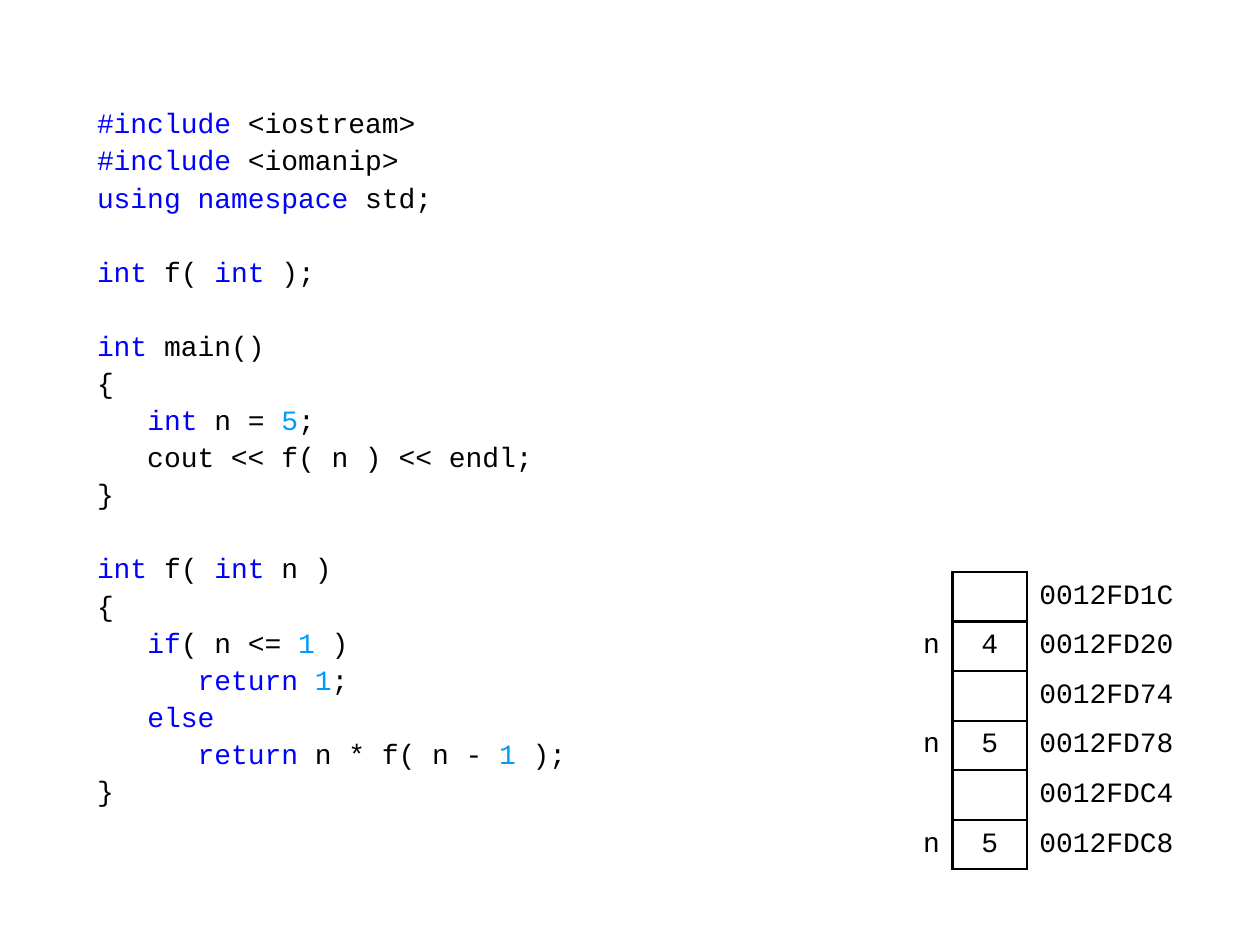
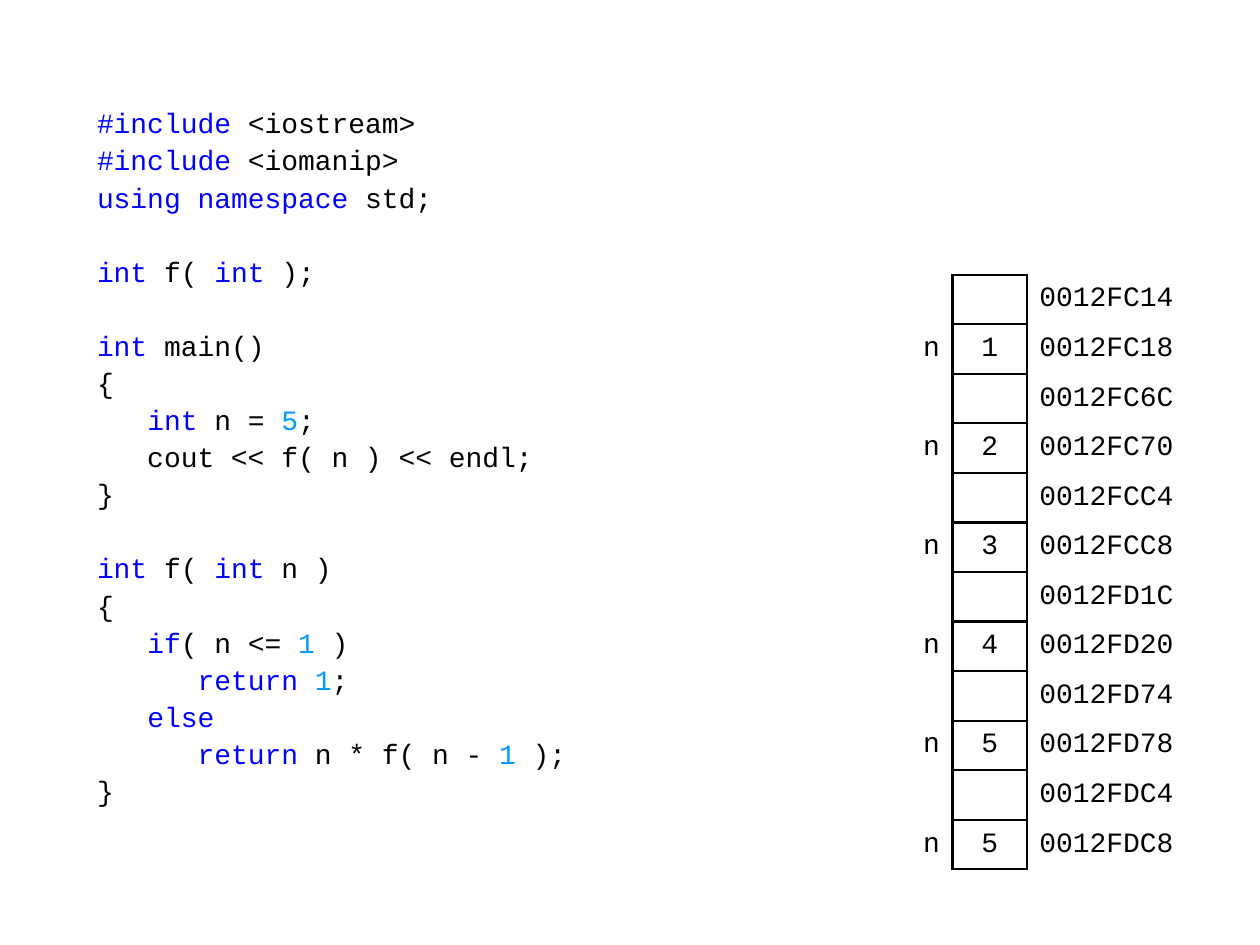
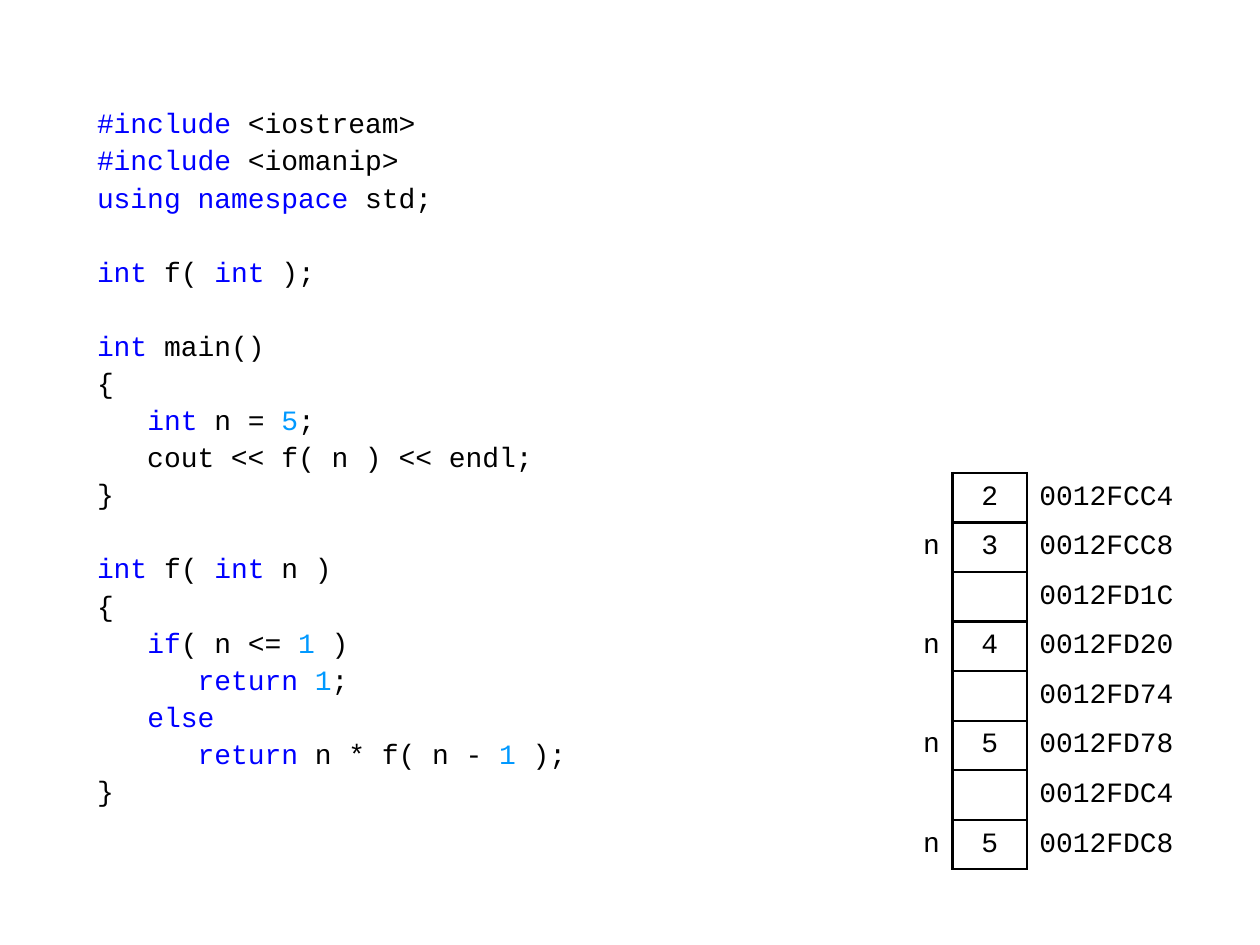
from itertools import groupby

from lxml.etree import SubElement
from pptx import Presentation
from pptx.dml.color import RGBColor
from pptx.enum.text import MSO_ANCHOR, MSO_AUTO_SIZE, PP_ALIGN
from pptx.oxml.ns import qn
from pptx.util import Inches, Pt

BLACK = RGBColor(0x00, 0x00, 0x00)
KEYWORD_BLUE = RGBColor(0x00, 0x00, 0xFF)
NUMBER_BLUE = RGBColor(0x00, 0x99, 0xFF)

CODE_FONT = "Courier New"
CODE_SIZE = Pt(16)
LINE_GAP = Pt(2)
BLANK_LINE = Pt(21.2)
BORDER_WIDTH = Pt(1.5)
PLAIN_TABLE_STYLE = "{2D5ABB26-0587-4C30-8999-92F81FD0307C}"

KEYWORDS = {"#include", "using", "namespace", "int", "if", "return", "else"}
PROGRAM = """#include <iostream>
#include <iomanip>
using namespace std;

int f( int );

int main()
{
   int n = 5;
   cout << f( n ) << endl;
}

int f( int n )
{
   if( n <= 1 )
      return 1;
   else
      return n * f( n - 1 );
}"""

COLUMN_WIDTHS = (0.39, 0.59, 1.38)
ADDRESSES = (
    "0012FC14", "0012FC18", "0012FC6C", "0012FC70", "0012FCC4", "0012FCC8",
    "0012FD1C", "0012FD20", "0012FD74", "0012FD78", "0012FDC4", "0012FDC8",
)
STACK_STATES = (
    ("", "4", "", "5", "", "5"),
    ("", "1", "", "2", "", "3", "", "4", "", "5", "", "5"),
    ("2", "3", "", "4", "", "5", "", "5"),
)


def add_code_run(paragraph, text, color=BLACK):
    """Append one run in the code font."""
    run = paragraph.add_run()
    run.text = text
    run.font.name = CODE_FONT
    run.font.size = CODE_SIZE
    run.font.color.rgb = color


def token_color(token):
    """Choose the syntax colour of a token."""
    if token in KEYWORDS:
        return KEYWORD_BLUE
    return NUMBER_BLUE if token.isdigit() else BLACK


def add_program(slide):
    """Write the highlighted program into the subtitle placeholder."""
    listing = slide.placeholders[1]
    listing.left, listing.top = Inches(0.67), Inches(0.79)
    listing.width, listing.height = Inches(5.12), Inches(5.71)
    frame = listing.text_frame
    frame.auto_size = MSO_AUTO_SIZE.NONE
    frame.word_wrap = True
    frame.vertical_anchor = MSO_ANCHOR.TOP

    paragraph = frame.paragraphs[0]
    gap = Pt(0)
    for number, line in enumerate(PROGRAM.splitlines()):
        if not line:
            gap += BLANK_LINE
            continue
        if number:
            paragraph = frame.add_paragraph()
        paragraph.alignment = PP_ALIGN.LEFT
        paragraph.space_before = gap
        for _, letters in groupby(line, lambda c: c.isalnum() or c == "#"):
            token = "".join(letters)
            add_code_run(paragraph, token, token_color(token))
        gap = LINE_GAP


def add_borders(cell, sides):
    """Draw black borders on the given sides, in the order L, R, T, B."""
    properties = cell._tc.get_or_add_tcPr()
    for side in sides:
        border = SubElement(properties, qn(f"a:ln{side}"), w=str(BORDER_WIDTH))
        fill = SubElement(border, qn("a:solidFill"))
        SubElement(fill, qn("a:srgbClr"), val=str(BLACK))


def fill_cell(cell, text, alignment, sides, right_margin=0.1):
    """Write and outline one cell of a stack row."""
    cell.margin_right = Inches(right_margin)
    cell.vertical_anchor = MSO_ANCHOR.MIDDLE
    add_borders(cell, sides)
    if text:
        paragraph = cell.text_frame.paragraphs[0]
        paragraph.alignment = alignment
        add_code_run(paragraph, text)


def add_stack(slide, values):
    """Show the stack values against the highest addresses."""
    stack = slide.shapes.add_table(
        len(ADDRESSES), len(COLUMN_WIDTHS),
        Inches(7.17), Inches(2.18), Inches(sum(COLUMN_WIDTHS)), Inches(4.72),
    ).table
    stack.first_row = stack.horz_banding = False
    stack._tbl.tblPr.find(qn("a:tableStyleId")).text = PLAIN_TABLE_STYLE
    for column, width in zip(stack.columns, COLUMN_WIDTHS):
        column.width = Inches(width)

    first_used = len(ADDRESSES) - len(values)
    for row, address in enumerate(ADDRESSES):
        label, value, location = stack.rows[row].cells
        for cell in (label, value, location):
            cell.margin_top = cell.margin_bottom = Inches(0.04)
        if row >= first_used:
            name = "n" if row % 2 else ""
            fill_cell(label, name, PP_ALIGN.RIGHT, "R")
            fill_cell(value, values[row - first_used], PP_ALIGN.CENTER, "LRTB")
            fill_cell(location, address, PP_ALIGN.LEFT, "L", 0.08)
        elif row == first_used - 1:
            add_borders(value, "B")
        for cell in (label, value, location):
            cell.fill.background()


def add_trace_slide(deck, values):
    """Add a slide with the program and one state of its stack."""
    slide = deck.slides.add_slide(deck.slide_layouts[0])
    title = slide.shapes.title._element
    title.getparent().remove(title)
    add_program(slide)
    add_stack(slide, values)


def main():
    """Build the recursion trace."""
    deck = Presentation()
    deck.slide_width, deck.slide_height = Inches(10), Inches(7.5)
    for values in STACK_STATES:
        add_trace_slide(deck, values)
    deck.save("out.pptx")


if __name__ == "__main__":
    main()
